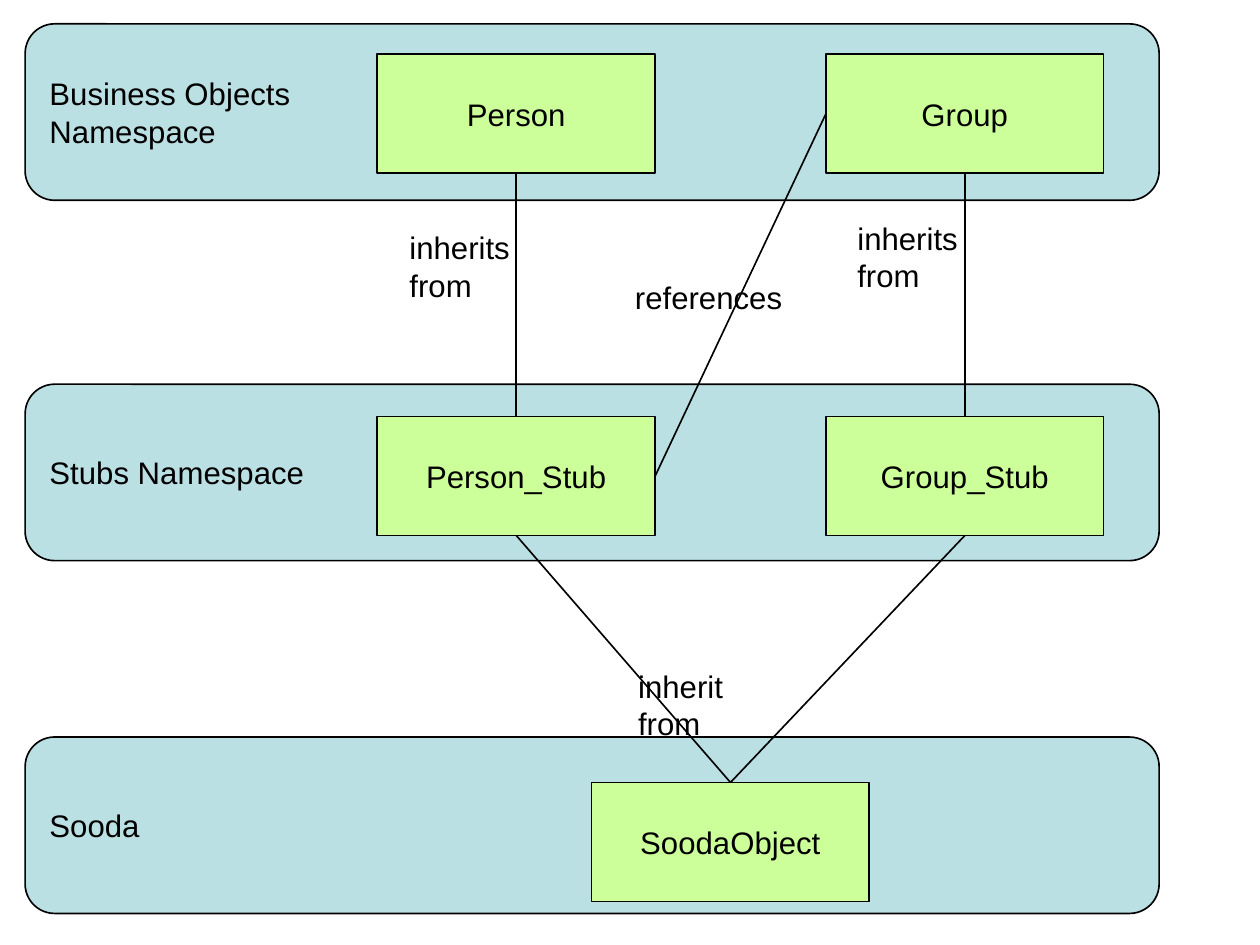
from lxml import etree
from pptx import Presentation
from pptx.dml.color import RGBColor
from pptx.enum.shapes import MSO_CONNECTOR, MSO_SHAPE
from pptx.enum.text import MSO_ANCHOR, MSO_AUTO_SIZE, PP_ALIGN
from pptx.oxml.ns import qn
from pptx.util import Cm, Pt

ROUNDED, RECTANGLE = MSO_SHAPE.ROUNDED_RECTANGLE, MSO_SHAPE.RECTANGLE
STRAIGHT = MSO_CONNECTOR.STRAIGHT
MIDDLE, TOP_ANCHOR = MSO_ANCHOR.MIDDLE, MSO_ANCHOR.TOP
LEFT_ALIGN, CENTER = PP_ALIGN.LEFT, PP_ALIGN.CENTER
GROW, FIXED = MSO_AUTO_SIZE.SHAPE_TO_FIT_TEXT, MSO_AUTO_SIZE.NONE

BLACK, BAND_BLUE, CLASS_GREEN = "000000", "BBE0E3", "CCFF99"
TOP, LEFT, BOTTOM, RIGHT = range(4)

NAMESPACES = [
    ("Sooda", 11.7),
    ("Stubs Namespace", 6.1),
    ("Business Objects\nNamespace", 0.38),
]
PERSON_X, SOODA_X, GROUP_X = 5.99, 9.39, 13.11
BUSINESS_Y, STUBS_Y, SOODA_Y = 0.86, 6.61, 12.42
CLASSES = {
    "Person": (PERSON_X, BUSINESS_Y),
    "Group": (GROUP_X, BUSINESS_Y),
    "Person_Stub": (PERSON_X, STUBS_Y),
    "Group_Stub": (GROUP_X, STUBS_Y),
    "SoodaObject": (SOODA_X, SOODA_Y),
}
RELATIONS = [
    ("Person", BOTTOM, "Person_Stub", TOP),
    ("Group", BOTTOM, "Group_Stub", TOP),
    ("Group", LEFT, "Person_Stub", RIGHT),
    ("Person_Stub", BOTTOM, "SoodaObject", TOP),
    ("Group_Stub", BOTTOM, "SoodaObject", TOP),
]
RELATION_LABELS = [
    ("inherits from", 13.41, 3.38, 3.12),
    ("inherits from", 6.3, 3.53, 3.12),
    ("inherit from", 9.93, 10.49, 2.87),
    ("references", 9.88, 4.32, 2.74),
]


def frame_format(inset_x, inset_y, anchor, wrap, auto_size):
    return {
        "margin_left": Cm(inset_x),
        "margin_right": Cm(inset_x),
        "margin_top": Cm(inset_y),
        "margin_bottom": Cm(inset_y),
        "vertical_anchor": anchor,
        "word_wrap": wrap,
        "auto_size": auto_size,
    }


BAND_FRAME = frame_format(0.25, 0.13, MIDDLE, True, FIXED)
CLASS_FRAME = frame_format(0.2, 0.1, MIDDLE, True, FIXED)
LABEL_FRAME = frame_format(0.2, 0.1, TOP_ANCHOR, False, GROW)
FONT = {"name": "Arial", "size": Pt(14)}


def apply(target, values):
    for attribute, value in values.items():
        setattr(target, attribute, value)


def paint(fill, color):
    fill.solid()
    fill.fore_color.rgb = RGBColor.from_string(color)


def draw_outline(line):
    paint(line.fill, BLACK)
    line.width = Pt(0.75)


def write(frame, text, frame_values, alignment):
    frame.text = text
    apply(frame, frame_values)
    for paragraph in frame.paragraphs:
        paragraph.alignment = alignment
        apply(paragraph.font, FONT)
        paint(paragraph.font.fill, BLACK)


def add_panel(slide, kind, bounds, color):
    panel = slide.shapes.add_shape(kind, *map(Cm, bounds))
    panel.shadow.inherit = False
    paint(panel.fill, color)
    draw_outline(panel.line)
    return panel


def add_namespace(slide, name, top):
    band = add_panel(slide, ROUNDED, (0.4, top, 18, 2.8), BAND_BLUE)
    band.adjustments[0] = 0.167
    write(band.text_frame, name, BAND_FRAME, LEFT_ALIGN)


def add_class(slide, name, left, top):
    class_box = add_panel(slide, RECTANGLE, (left, top, 4.41, 1.89), CLASS_GREEN)
    write(class_box.text_frame, name, CLASS_FRAME, CENTER)
    return class_box


def add_relation(slide, source, source_side, target, target_side):
    relation = slide.shapes.add_connector(STRAIGHT, 0, 0, 0, 0)
    relation.begin_connect(source, source_side)
    relation.end_connect(target, target_side)
    draw_outline(relation.line)
    etree.SubElement(relation._element.spPr, qn("a:effectLst"))


def add_label(slide, text, left, top, width):
    label = slide.shapes.add_textbox(*map(Cm, (left, top, width, 0.79)))
    write(label.text_frame, text, LABEL_FRAME, LEFT_ALIGN)


def main():
    deck = Presentation()
    apply(deck, {"slide_width": Cm(20), "slide_height": Cm(15)})
    slide = deck.slides.add_slide(deck.slide_layouts[6])
    for name, top in NAMESPACES:
        add_namespace(slide, name, top)
    classes = {
        name: add_class(slide, name, *corner) for name, corner in CLASSES.items()
    }
    for source, source_side, target, target_side in RELATIONS:
        add_relation(slide, classes[source], source_side, classes[target], target_side)
    for label in RELATION_LABELS:
        add_label(slide, *label)
    deck.save("out.pptx")


if __name__ == "__main__":
    main()
